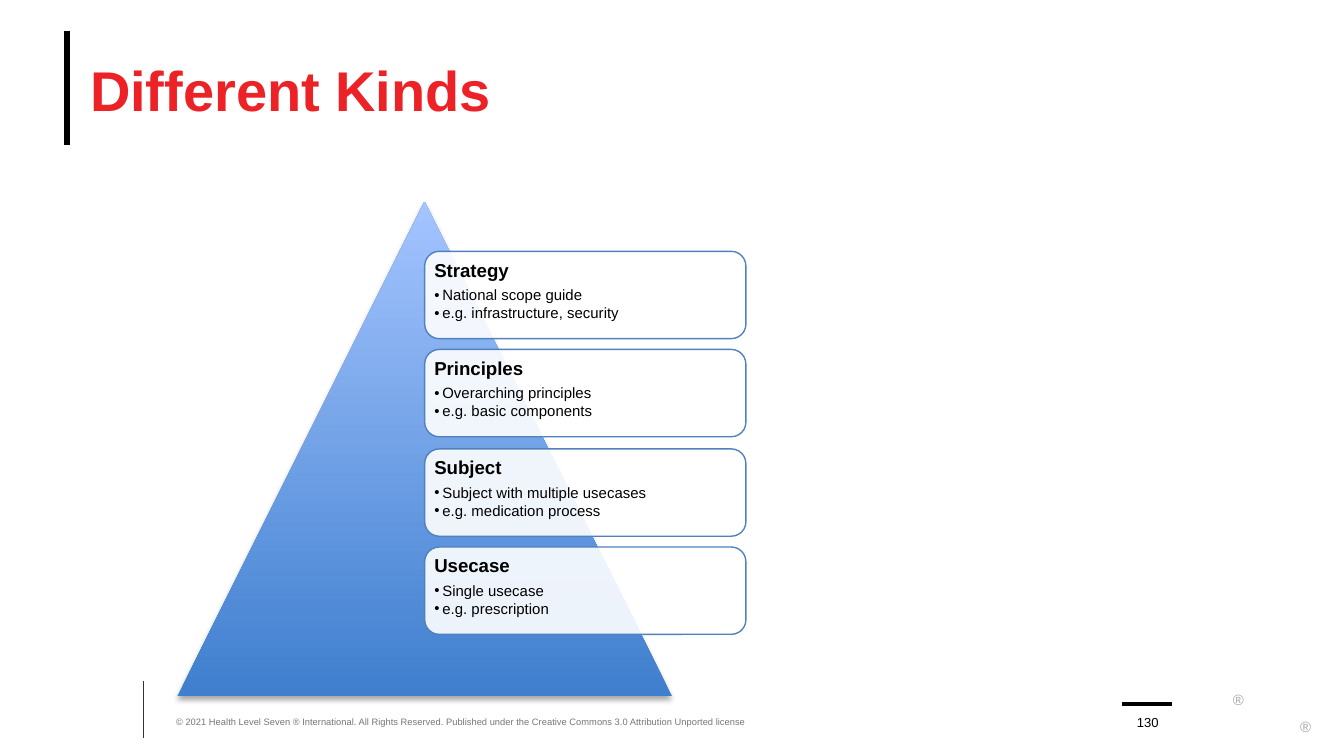
from lxml import etree
from pptx import Presentation
from pptx.dml.color import RGBColor
from pptx.enum.shapes import MSO_CONNECTOR, MSO_SHAPE
from pptx.enum.text import MSO_ANCHOR, PP_ALIGN
from pptx.oxml.ns import qn
from pptx.util import Pt

PX = 9144
WIDE = 1000 * PX
HIGH = WIDE * 9 // 16
LINE = MSO_CONNECTOR.STRAIGHT
PEAK, ROUND = MSO_SHAPE.ISOSCELES_TRIANGLE, MSO_SHAPE.ROUNDED_RECTANGLE
TOP, MID, LOW = MSO_ANCHOR.TOP, MSO_ANCHOR.MIDDLE, MSO_ANCHOR.BOTTOM
LEFT, CENTER = PP_ALIGN.LEFT, PP_ALIGN.CENTER

BLACK = RGBColor(0x00, 0x00, 0x00)
WHITE = RGBColor(0xFF, 0xFF, 0xFF)
RED = RGBColor(0xEC, 0x22, 0x27)
BROWN = RGBColor(0x3D, 0x30, 0x29)
GRAY = RGBColor(0x74, 0x76, 0x79)
PALE = RGBColor(0xA6, 0xA6, 0xA6)
BLUE = RGBColor(0x4F, 0x81, 0xBD)
DEEP = RGBColor(0x3F, 0x7F, 0xCE)
LIGHT = RGBColor(0xA4, 0xC4, 0xFF)

HEAD = {"size": Pt(10), "bold": True}
ITEM = {"size": Pt(8), "bold": False}
LEVELS = [
    ("Strategy", "National scope guide", "e.g. infrastructure, security"),
    ("Principles", "Overarching principles", "e.g. basic components"),
    ("Subject", "Subject with multiple usecases", "e.g. medication process"),
    ("Usecase", "Single usecase", "e.g. prescription"),
]


def emu(*vals):
    """Turn px lengths into EMU."""
    return [val * PX for val in vals]


def node(root, tag, **attrs):
    """Append an XML element with the given attributes."""
    item = etree.SubElement(root, qn(tag))
    for key, val in attrs.items():
        item.set(key, str(val))
    return item


def style(part, form):
    """Set each format value on a part."""
    for key, val in form.items():
        setattr(part, key, val)


def write(para, text, color, form):
    """Fill a paragraph with one styled run."""
    run = para.add_run()
    run.text = text
    style(run.font, {"name": "Arial", **form})
    run.font.color.rgb = color


def frame(shape, pad, anchor, wrap=True):
    """Set the text frame layout with equal margins and return it."""
    text = shape.text_frame
    sides = ("left", "top", "right", "bottom")
    style(text, {f"margin_{side}": pad * PX for side in sides})
    style(text, {"word_wrap": wrap, "vertical_anchor": anchor})
    return text


def label(slide, box, text, color, form, anchor, align=LEFT, wrap=True):
    """Add a one-line text box."""
    shape = slide.shapes.add_textbox(*emu(*box))
    para = frame(shape, 0, anchor, wrap).paragraphs[0]
    para.alignment = align
    write(para, text, color, form)


def rule(slide, start, end, color, width):
    """Add a straight line."""
    line = slide.shapes.add_connector(LINE, *emu(*start, *end))
    line.line.color.rgb = color
    line.line.width = Pt(width)
    node(line._element.spPr, "a:effectLst")


def header(slide, box):
    """Place the title and the bar to its left."""
    left, top, wide, high = box
    rule(slide, (left, top), (left, top + high - 1), BLACK, 3.25)
    label(slide, (left + 17, top, wide, high), "Different Kinds", RED,
          {"size": Pt(30), "bold": True}, MID)


def footer(slide, box):
    """Place the licence line, page number and marks."""
    left, top, wide, high = box
    rule(slide, (left, top), (left, top + high), BROWN, 0.5)
    rule(slide, (left + 728, top + 17), (left + 765, top + 17), BLACK, 2)
    for x, y, w in ((809, 7, 11), (860, 27, 9)):
        label(slide, (left + x, top + y, w, 9), "®", PALE,
              {"size": Pt(8)}, TOP, CENTER, False)
    label(slide, (left + 24, top + 17, 495, 17),
          "© 2021 Health Level Seven ® International. All Rights Reserved. "
          "Published under the Creative Commons 3.0 Attribution Unported "
          "license", GRAY, {"size": Pt(5)}, LOW)
    label(slide, (left + 732, top + 17, 30, 19), "130", BLACK,
          {"size": Pt(7)}, LOW, CENTER)


def card(slide, box, words):
    """Place one rounded card with a heading and bullets."""
    shape = slide.shapes.add_shape(ROUND, *emu(*box))
    shape.shadow.inherit = False
    shape.fill.solid()
    shape.fill.fore_color.rgb = WHITE
    tone = shape._element.spPr.find(qn("a:solidFill"))[0]
    node(tone, "a:alpha", val=90000)
    shape.line.color.rgb = BLUE
    shape.line.width = Pt(0.75)
    text = frame(shape, 4, TOP)
    for row, word in enumerate(words):
        para = text.add_paragraph() if row else text.paragraphs[0]
        style(para, {"alignment": LEFT, "line_spacing": 0.9,
                     "space_after": Pt(1.2 if row else 3.5)})
        if row:
            para.level = 1
            props = para._p.get_or_add_pPr()
            props.set("marL", str(6 * PX))
            props.set("indent", str(-6 * PX))
            node(props, "a:buFont", typeface="Arial")
            node(props, "a:buChar", char="•")
        write(para, word, BLACK, ITEM if row else HEAD)


def pyramid(slide, box):
    """Place the triangle and the cards stacked from its middle."""
    left, top, wide, high = box
    peak = slide.shapes.add_shape(PEAK, *emu(*box))
    peak.fill.gradient()
    peak.fill.gradient_angle = 90
    for stop, color in zip(peak.fill.gradient_stops, (DEEP, LIGHT)):
        stop.color.rgb = color
    peak.line.fill.background()
    peak.shadow.inherit = False
    glow = peak._element.spPr.find(qn("a:effectLst"))
    shade = node(glow, "a:outerShdw", blurRad=Pt(3.1), dist=Pt(1.8),
                 dir=5400000, rotWithShape=0)
    node(node(shade, "a:srgbClr", val=BLACK), "a:alpha", val=35000)
    for row, words in enumerate(LEVELS):
        spot = top + 37 + row * high // 5
        card(slide, (left + wide // 2, spot, 239, 65), words)


def main():
    """Build and save the slide."""
    deck = Presentation()
    deck.slide_width, deck.slide_height = WIDE, HIGH
    slide = deck.slides.add_slide(deck.slide_layouts[6])
    header(slide, (50, 23, 900, 86))
    footer(slide, (107, 507, 893, 42))
    pyramid(slide, (132, 150, 368, 368))
    deck.save("out.pptx")


if __name__ == "__main__":
    main()
